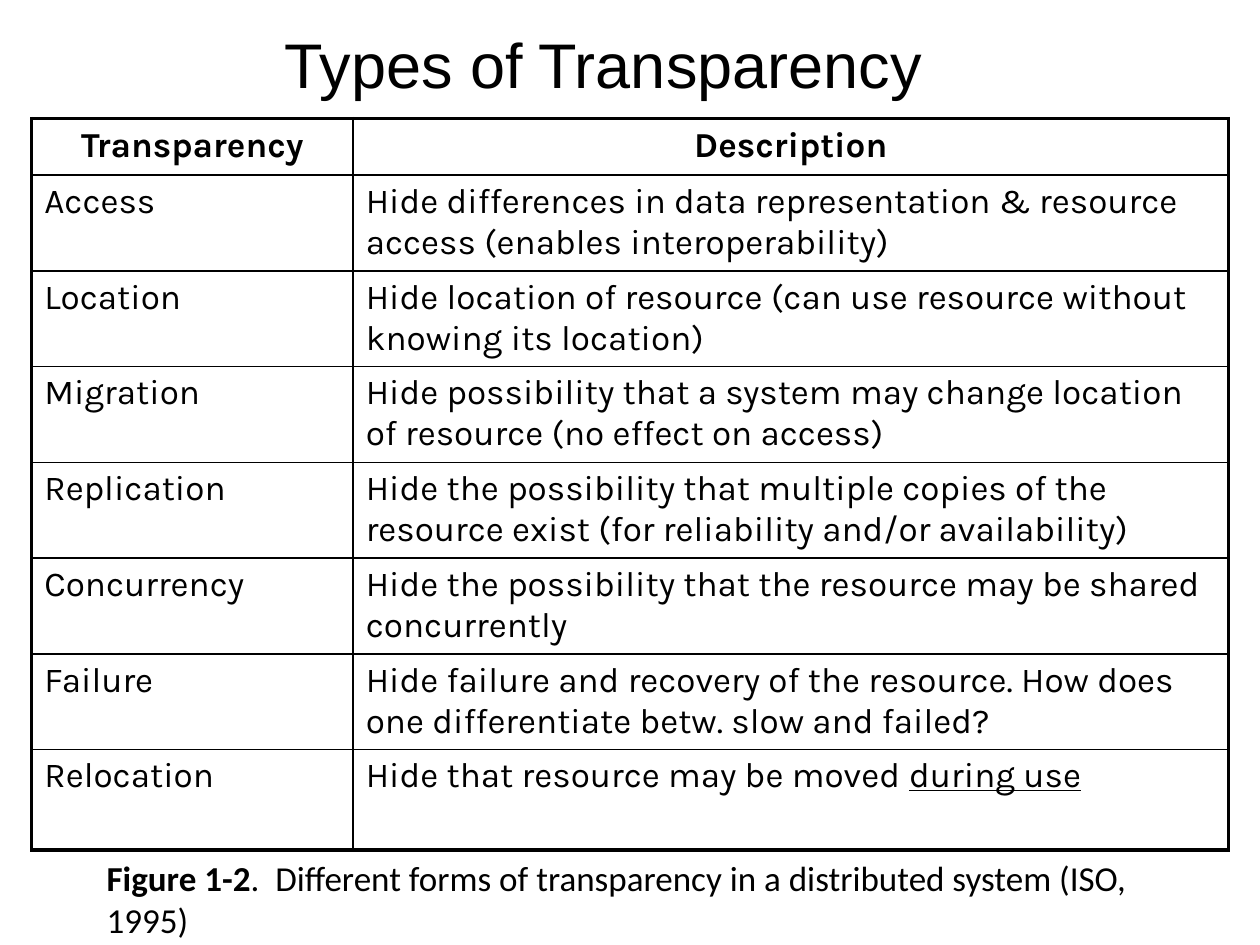
from lxml import etree
from pptx import Presentation
from pptx import util as u
from pptx.dml.color import RGBColor
from pptx.enum import text
from pptx.oxml import ns

COLORS = {"ink": "000000", "paper": "FFFFFF"}
THIN, THICK = u.Pt(1), u.Pt(2.25)
COLUMN_WIDTHS = (6.48, 17.65)
HEADER_HEIGHT, BODY_HEIGHT, LAST_HEIGHT = 1.14, 1.93, 2.03

TITLE_FORMAT = {"name": "Arial", "size": u.Pt(36), "bold": False}
HEADER_FORMAT = {"name": "Karla", "size": u.Pt(20), "bold": True}
BODY_FORMAT = {**HEADER_FORMAT, "bold": False}
CAPTION_FORMAT = {"name": "Calibri", "size": u.Pt(20), "bold": False}

# Each entry is a cell; a cell is a list of (text, format changes) runs
ROWS = [
    ("Transparency", "Description"),
    ("Access", "Hide differences in data representation & resource access "
               "(enables interoperability)"),
    ("Location", "Hide location of resource (can use resource without knowing its location)"),
    ("Migration", "Hide possibility that a system may change location of resource "
                  "(no effect on access)"),
    ("Replication", "Hide the possibility that multiple copies of the resource exist "
                    "(for reliability and/or availability)"),
    ("Concurrency", "Hide the possibility that the resource may be shared concurrently"),
    ("Failure", "Hide failure and recovery of the resource. "
                "How does one differentiate betw. slow and failed?"),
    ("Relocation", [("Hide that resource may be moved ", {}),
                    ("during use", {"underline": True})]),
]


def write(frame, content, font_format, alignment=text.PP_ALIGN.LEFT):
    """Fill a text frame with one paragraph, given a string or a list of runs."""
    paragraph = frame.paragraphs[0]
    paragraph.alignment = alignment
    runs = [(content, {})] if isinstance(content, str) else content
    for words, changes in runs:
        run = paragraph.add_run()
        run.text = words
        for name, value in {**font_format, **changes}.items():
            setattr(run.font, name, value)
        run.font.color.rgb = RGBColor.from_string(COLORS["ink"])


def set_borders(cell, widths):
    """Draw the cell borders; widths maps L, R, T and B to line widths."""
    properties = cell._tc.get_or_add_tcPr()
    for side in "LRTB":
        line = etree.SubElement(properties, ns.qn(f"a:ln{side}"), w=str(widths[side]))
        fill = etree.SubElement(line, ns.qn("a:solidFill"))
        etree.SubElement(fill, ns.qn("a:srgbClr"), val=COLORS["ink"])


def add_title(slide, left, top, width, height):
    title = slide.shapes.title
    box = {"left": left, "top": top, "width": width, "height": height}
    for name, value in box.items():
        setattr(title, name, u.Cm(value))
    title.text_frame.vertical_anchor = text.MSO_ANCHOR.MIDDLE
    write(title.text_frame, "Types of Transparency", TITLE_FORMAT, text.PP_ALIGN.CENTER)


def add_transparency_table(slide, left, top):
    last_row, last_column = len(ROWS) - 1, len(COLUMN_WIDTHS) - 1
    heights = [HEADER_HEIGHT] + [BODY_HEIGHT] * (last_row - 1) + [LAST_HEIGHT]
    table = slide.shapes.add_table(
        len(ROWS), len(COLUMN_WIDTHS), u.Cm(left), u.Cm(top),
        u.Cm(sum(COLUMN_WIDTHS)), u.Cm(sum(heights))).table
    table.first_row = table.horz_banding = False
    for column, width in zip(table.columns, COLUMN_WIDTHS):
        column.width = u.Cm(width)

    for i, (contents, height) in enumerate(zip(ROWS, heights)):
        table.rows[i].height = u.Cm(height)
        for j, content in enumerate(contents):
            cell = table.cell(i, j)
            # Thick outer frame, thin inner lines
            set_borders(cell, {"L": THICK if j == 0 else THIN,
                               "R": THICK if j == last_column else THIN,
                               "T": THICK if i == 0 else THIN,
                               "B": THICK if i == last_row else THIN})
            cell.fill.solid()
            cell.fill.fore_color.rgb = RGBColor.from_string(COLORS["paper"])
            if i == 0:
                write(cell.text_frame, content, HEADER_FORMAT, text.PP_ALIGN.CENTER)
            else:
                write(cell.text_frame, content, BODY_FORMAT)


def add_caption(slide, left, top, width, height):
    caption = slide.shapes.add_textbox(u.Cm(left), u.Cm(top), u.Cm(width), u.Cm(height))
    caption.text_frame.word_wrap = True
    write(caption.text_frame,
          [("Figure 1-2", {"bold": True}),
           (".  Different forms of transparency in a distributed system (ISO, 1995)", {})],
          CAPTION_FORMAT)


def main():
    presentation = Presentation()
    presentation.slide_width, presentation.slide_height = u.Cm(25.4), u.Cm(19.05)
    slide = presentation.slides.add_slide(presentation.slide_layouts.get_by_name("Title Only"))
    add_title(slide, 1.9, 0.43, 20.52, 1.7)
    add_transparency_table(slide, 0.64, 2.39)
    add_caption(slide, 1.9, 17.15, 21.41, 1.96)
    presentation.save("out.pptx")


if __name__ == "__main__":
    main()
